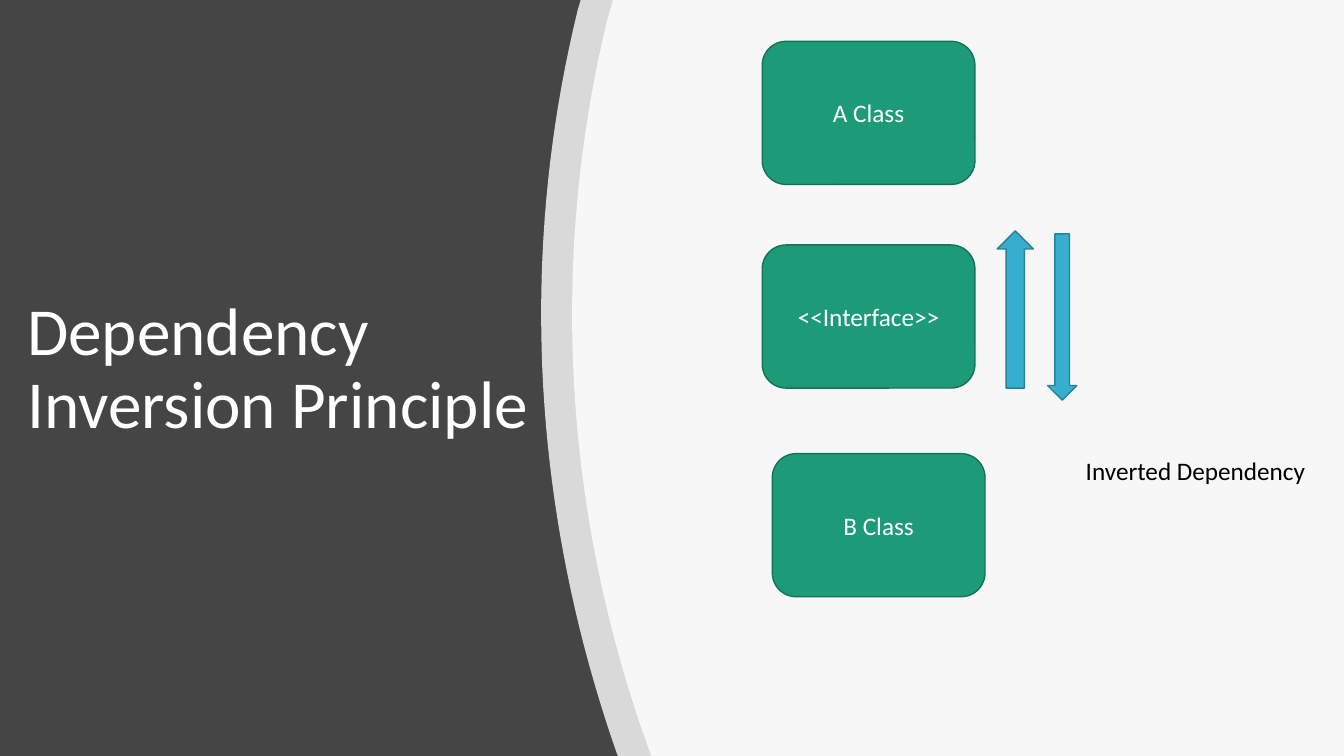
import pptx
import pptx.util
import pptx.dml.color
import pptx.enum.shapes
import pptx.enum.text
import pptx.oxml
import pptx.oxml.ns

Inches = pptx.util.Inches
MSO_SHAPE = pptx.enum.shapes.MSO_SHAPE
PP_ALIGN = pptx.enum.text.PP_ALIGN
MSO_ANCHOR = pptx.enum.text.MSO_ANCHOR
MSO_AUTO_SIZE = pptx.enum.text.MSO_AUTO_SIZE

COLORS = {
    "dark": "454545",
    "white": "FFFFFF",
    "black": "000000",
    "green": "1D9A78",
    "green_line": "157259",
    "blue": "36AFCE",
    "blue_line": "288198",
}
FONT = "Calibri"
SLIDE_W, SLIDE_H = 13.33, 7.5


def rgb(name):
    return pptx.dml.color.RGBColor.from_string(COLORS[name])


def write(tf, text, size=18, color="white", align=PP_ALIGN.CENTER,
          anchor=MSO_ANCHOR.MIDDLE, wrap=True, spacing=None,
          auto_size=MSO_AUTO_SIZE.NONE):
    tf.auto_size = auto_size
    tf.word_wrap = wrap
    tf.vertical_anchor = anchor
    p = tf.paragraphs[0]
    p.alignment = align
    if spacing:
        p.line_spacing = spacing
    r = p.add_run()
    r.text = text
    r.font.name = FONT
    r.font.size = pptx.util.Pt(size)
    r.font.color.rgb = rgb(color)


def add_box(s, kind, x, y, w, h, fill, line):
    sp = s.shapes.add_shape(kind, Inches(x), Inches(y), Inches(w), Inches(h))
    sp.shadow.inherit = False
    sp.fill.solid()
    sp.fill.fore_color.rgb = rgb(fill)
    sp.line.color.rgb = rgb(line)
    sp.line.width = pptx.util.Pt(1)
    return sp


def bezier(p0, p1, p2, p3, steps=40):
    """Points along a cubic curve, both ends included."""
    points = []
    for i in range(steps + 1):
        t = i / steps
        weights = ((1 - t) ** 3, 3 * t * (1 - t) ** 2, 3 * t ** 2 * (1 - t), t ** 3)
        points.append(tuple(sum(k * p[axis] for k, p in zip(weights, (p0, p1, p2, p3)))
                            for axis in (0, 1)))
    return points


def add_panel(s, top_x, bottom_x, curve, alpha=80):
    """Translucent panel from a curved left edge to the slide's right edge."""
    outline = [(top_x, 0), (SLIDE_W, 0), (SLIDE_W, SLIDE_H), (bottom_x, SLIDE_H)]
    outline += bezier(*curve)
    points = [(Inches(x), Inches(y)) for x, y in outline]
    builder = s.shapes.build_freeform(*points[0])
    builder.add_line_segments(points[1:], close=True)
    sp = builder.convert_to_shape()
    sp.shadow.inherit = False
    sp.line.fill.background()
    sp.fill.solid()
    sp.fill.fore_color.rgb = rgb("white")
    color = sp.fill._xPr.find(".//" + pptx.oxml.ns.qn("a:srgbClr"))
    color.append(pptx.oxml.parse_xml(
        '<a:alpha %s val="%d"/>' % (pptx.oxml.ns.nsdecls("a"), alpha * 1000)))


def add_title(s, x, y, w, h):
    sp = s.shapes.title
    sp.left, sp.top, sp.width, sp.height = map(Inches, (x, y, w, h))
    write(sp.text_frame, "Dependency Inversion Principle", size=48,
          align=PP_ALIGN.LEFT, spacing=0.9)


def add_diagram(s, x, y):
    # Class boxes: offset from the diagram's corner
    for text, dx, dy in (("A Class", 0, 0), ("<<Interface>>", 0, 2.02),
                         ("B Class", 0.1, 4.09)):
        sp = add_box(s, MSO_SHAPE.ROUNDED_RECTANGLE, x + dx, y + dy, 2.11, 1.42,
                     "green", "green_line")
        write(sp.text_frame, text)

    # Dependency arrows: up, then down
    for dx, dy, length, thickness, angle in ((1.73, 2.48, 1.56, 0.36, 270),
                                             (2.15, 2.59, 1.65, 0.29, 90)):
        sp = add_box(s, MSO_SHAPE.RIGHT_ARROW, x + dx, y + dy, length, thickness,
                     "blue", "blue_line")
        sp.rotation = angle

    # Label
    tb = s.shapes.add_textbox(Inches(x + 3.11), Inches(y + 4.06),
                              Inches(2.41), Inches(0.4))
    write(tb.text_frame, "Inverted Dependency", color="black", align=PP_ALIGN.LEFT,
          anchor=MSO_ANCHOR.TOP, wrap=False,
          auto_size=MSO_AUTO_SIZE.SHAPE_TO_FIT_TEXT)


def main():
    prs = pptx.Presentation()
    prs.slide_width, prs.slide_height = Inches(SLIDE_W), Inches(SLIDE_H)
    s = prs.slides.add_slide(prs.slide_layouts[5])
    s.background.fill.solid()
    s.background.fill.fore_color.rgb = rgb("dark")

    add_title(s, 0.17, 1.28, 5.43, 4.79)
    add_panel(s, 5.76, 6.13, ((6.12, 7.48), (5.3, 5.14), (5.12, 2.6), (5.73, 0.1)))
    add_panel(s, 6.08, 6.46, ((6.36, 7.22), (5.6, 4.99), (5.45, 2.58), (6.02, 0.21)))
    add_diagram(s, 7.56, 0.41)
    prs.save("out.pptx")


if __name__ == "__main__":
    main()
